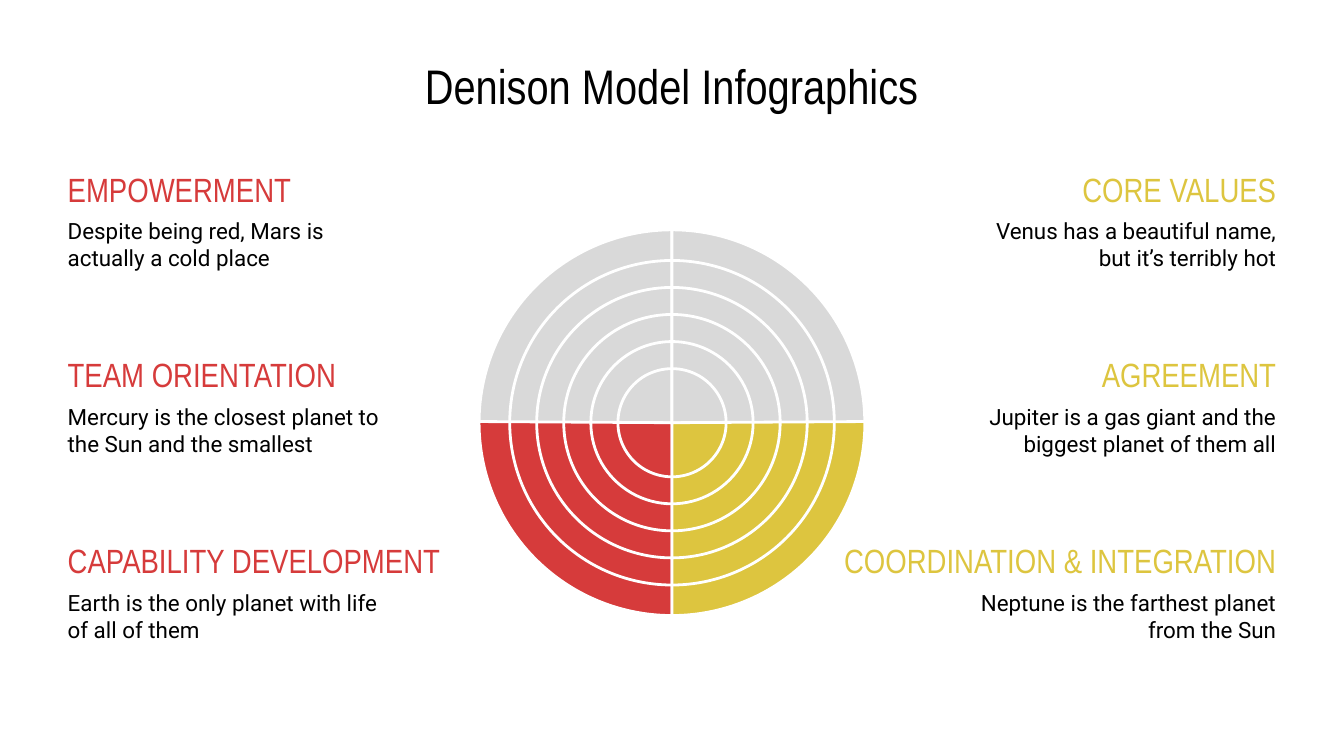
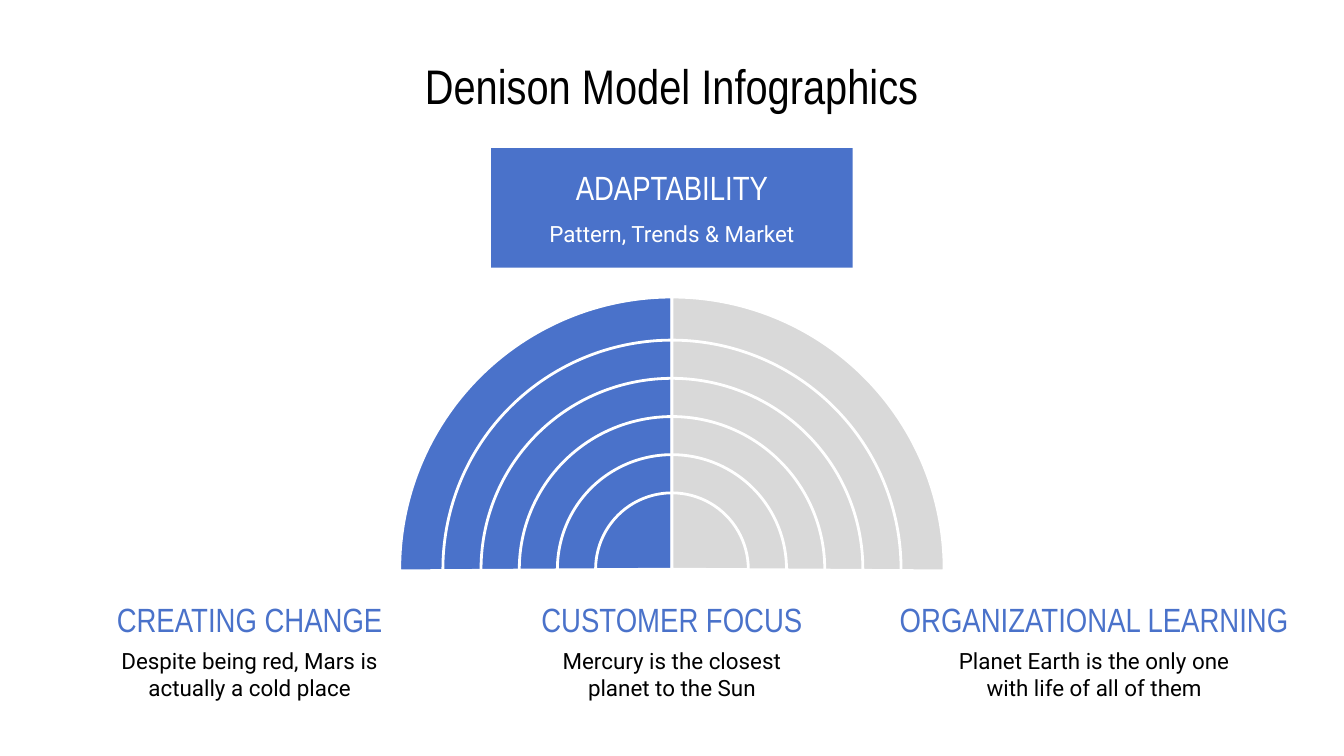
from dataclasses import dataclass

import pptx
import pptx.dml.color
import pptx.enum.shapes
import pptx.enum.text
import pptx.oxml
import pptx.oxml.ns
import pptx.util

Cm = pptx.util.Cm
Pt = pptx.util.Pt
Shape = pptx.enum.shapes.MSO_SHAPE
Align = pptx.enum.text.PP_ALIGN
Anchor = pptx.enum.text.MSO_ANCHOR

TITLE = "Denison Model Infographics"
INVOLVEMENT = [
    ("EMPOWERMENT", "Despite being red, Mars is actually a cold place"),
    ("TEAM ORIENTATION", "Mercury is the closest planet to the Sun and the smallest"),
    ("CAPABILITY DEVELOPMENT", "Earth is the only planet with life of all of them"),
]
CONSISTENCY = [
    ("CORE VALUES", "Venus has a beautiful name, but it’s terribly hot"),
    ("AGREEMENT", "Jupiter is a gas giant and the biggest planet of them all"),
    ("COORDINATION & INTEGRATION", "Neptune is the farthest planet from the Sun"),
]
ADAPTABILITY = ("ADAPTABILITY", "Pattern, Trends & Market")
ADAPTABILITY_TRAITS = [
    ("CREATING CHANGE", "Despite being red, Mars is actually a cold place"),
    ("CUSTOMER FOCUS", "Mercury is the closest planet to the Sun"),
    ("ORGANIZATIONAL LEARNING", "Planet Earth is the only one with life of all of them"),
]


@dataclass(frozen=True)
class Theme:
    red: str = "D63B3B"
    yellow: str = "DDC53F"
    blue: str = "4A72CA"
    grey: str = "D9D9D9"
    white: str = "FFFFFF"
    black: str = "000000"
    display_font: str = "Arial Narrow"
    body_font: str = "Roboto"
    title_size: int = 26
    heading_size: int = 18
    body_size: int = 12
    line_width: float = 1.5


THEME = Theme()

# Centimetres
SLIDE_W, SLIDE_H = 25.4, 14.29
MIDDLE = SLIDE_W / 2
MARGIN = 1.03
INSET = 0.25
HEADING_H, BODY_H, BODY_DROP = 1.04, 2.06, 0.81
RINGS_PER_DIAL = 7.13  # dial diameter measured in ring steps

# (rotation, mirrored) for each quarter of a dial
TOP_LEFT, TOP_RIGHT = (0, False), (0, True)
BOTTOM_LEFT, BOTTOM_RIGHT = (180, True), (180, False)
QUARTER_ANGLES = (107.79, 162)


def rgb(colour):
    return pptx.dml.color.RGBColor.from_string(colour)


def apply(target, values):
    for name, value in values.items():
        setattr(target, name, value)


def add_text(slide, text, box, font, size, colour, align, anchor):
    frame = slide.shapes.add_textbox(*map(Cm, box)).text_frame
    apply(frame, {"word_wrap": True, "vertical_anchor": anchor,
                  **{f"margin_{side}": Cm(INSET)
                     for side in ("left", "top", "right", "bottom")}})
    paragraph = frame.paragraphs[0]
    paragraph.text, paragraph.alignment = text, align
    apply(paragraph.runs[0].font, {"name": font, "size": Pt(size)})
    paragraph.runs[0].font.color.rgb = rgb(colour)


def aligned_left(x, width, align):
    """Left edge of a box whose aligned side, or centre, lies at x."""
    return x - width * {Align.LEFT: 0, Align.CENTER: 0.5, Align.RIGHT: 1}[align]


def add_trait(slide, trait, x, top, widths, align, colour,
              body_colour=THEME.black, body_drop=BODY_DROP, body_h=BODY_H):
    """Coloured heading with its description below, both aligned at x."""
    heading, description = trait
    heading_w, body_w = widths
    add_text(slide, heading,
             (aligned_left(x, heading_w, align), top, heading_w, HEADING_H),
             THEME.display_font, THEME.heading_size, colour, align, Anchor.MIDDLE)
    add_text(slide, description,
             (aligned_left(x, body_w, align), top + body_drop, body_w, body_h),
             THEME.body_font, THEME.body_size, body_colour, align, Anchor.TOP)


def style_outline(line):
    line.color.rgb = rgb(THEME.white)
    line.width = Pt(THEME.line_width)


def add_round(shapes, kind, centre_y, diameter, fill=None):
    box = (MIDDLE - diameter / 2, centre_y - diameter / 2, diameter, diameter)
    shape = shapes.add_shape(kind, *map(Cm, box))
    shape.shadow.inherit = False
    if fill:
        shape.fill.solid()
        shape.fill.fore_color.rgb = rgb(fill)
    else:
        shape.fill.background()
    style_outline(shape.line)
    return shape


def add_dial(slide, centre_y, diameter, quarters):
    """Coloured quarters divided by five white rings and a vertical line."""
    shapes = slide.shapes.add_group_shape().shapes
    for (rotation, mirrored), colour in quarters:
        quarter = add_round(shapes, Shape.PIE, centre_y, diameter, colour)
        for index, angle in enumerate(QUARTER_ANGLES):
            quarter.adjustments[index] = angle
        quarter.rotation = rotation
        if mirrored:
            quarter._element.spPr.find(pptx.oxml.ns.qn("a:xfrm")).set("flipH", "1")
    for steps in range(6, 1, -1):
        add_round(shapes, Shape.OVAL, centre_y, diameter * steps / RINGS_PER_DIAL)
    divider = shapes.add_connector(
        pptx.enum.shapes.MSO_CONNECTOR.STRAIGHT,
        Cm(MIDDLE), Cm(centre_y - diameter / 2),
        Cm(MIDDLE), Cm(centre_y + diameter / 2))
    style_outline(divider.line)
    divider._element.spPr.append(pptx.oxml.parse_xml(
        f'<a:effectLst {pptx.oxml.ns.nsdecls("a")}/>'))


def add_slide(deck):
    slide = deck.slides.add_slide(deck.slide_layouts[6])
    slide.background.fill.solid()
    slide.background.fill.fore_color.rgb = rgb(THEME.white)
    add_text(slide, TITLE, (1.27, 1.14, 22.86, 0.94), THEME.display_font,
             THEME.title_size, THEME.black, Align.CENTER, Anchor.MIDDLE)
    return slide


def build_circle_slide(deck):
    slide = add_slide(deck)
    columns = [
        (INVOLVEMENT, MARGIN, Align.LEFT, THEME.red),
        (CONSISTENCY, SLIDE_W - MARGIN, Align.RIGHT, THEME.yellow),
    ]
    for traits, x, align, colour in columns:
        for row, trait in enumerate(traits):
            add_trait(slide, trait, x, 3.05 + 3.51 * row, (9.3, 6.48), align, colour)
    add_dial(slide, 7.99, 7.29, [
        (TOP_LEFT, THEME.grey), (TOP_RIGHT, THEME.grey),
        (BOTTOM_LEFT, THEME.red), (BOTTOM_RIGHT, THEME.yellow)])


def build_half_circle_slide(deck):
    slide = add_slide(deck)
    add_dial(slide, 10.76, 10.29, [(TOP_LEFT, THEME.blue), (TOP_RIGHT, THEME.grey)])
    for column, trait in enumerate(ADAPTABILITY_TRAITS):
        add_trait(slide, trait, MIDDLE + 7.98 * (column - 1), 11.18,
                  (7.87, 5.87), Align.CENTER, THEME.blue)
    banner_w = 6.83
    banner = slide.shapes.add_shape(
        Shape.RECTANGLE, Cm(MIDDLE - banner_w / 2), Cm(2.8), Cm(banner_w), Cm(2.26))
    banner.shadow.inherit = False
    banner.fill.solid()
    banner.fill.fore_color.rgb = rgb(THEME.blue)
    banner.line.fill.background()
    add_trait(slide, ADAPTABILITY, MIDDLE, 3.02, (4.78, 6.48), Align.CENTER,
              THEME.white, body_colour=THEME.white, body_drop=0.89, body_h=0.94)


def main():
    deck = pptx.Presentation()
    apply(deck, {"slide_width": Cm(SLIDE_W), "slide_height": Cm(SLIDE_H)})
    build_circle_slide(deck)
    build_half_circle_slide(deck)
    deck.save("out.pptx")


if __name__ == "__main__":
    main()
